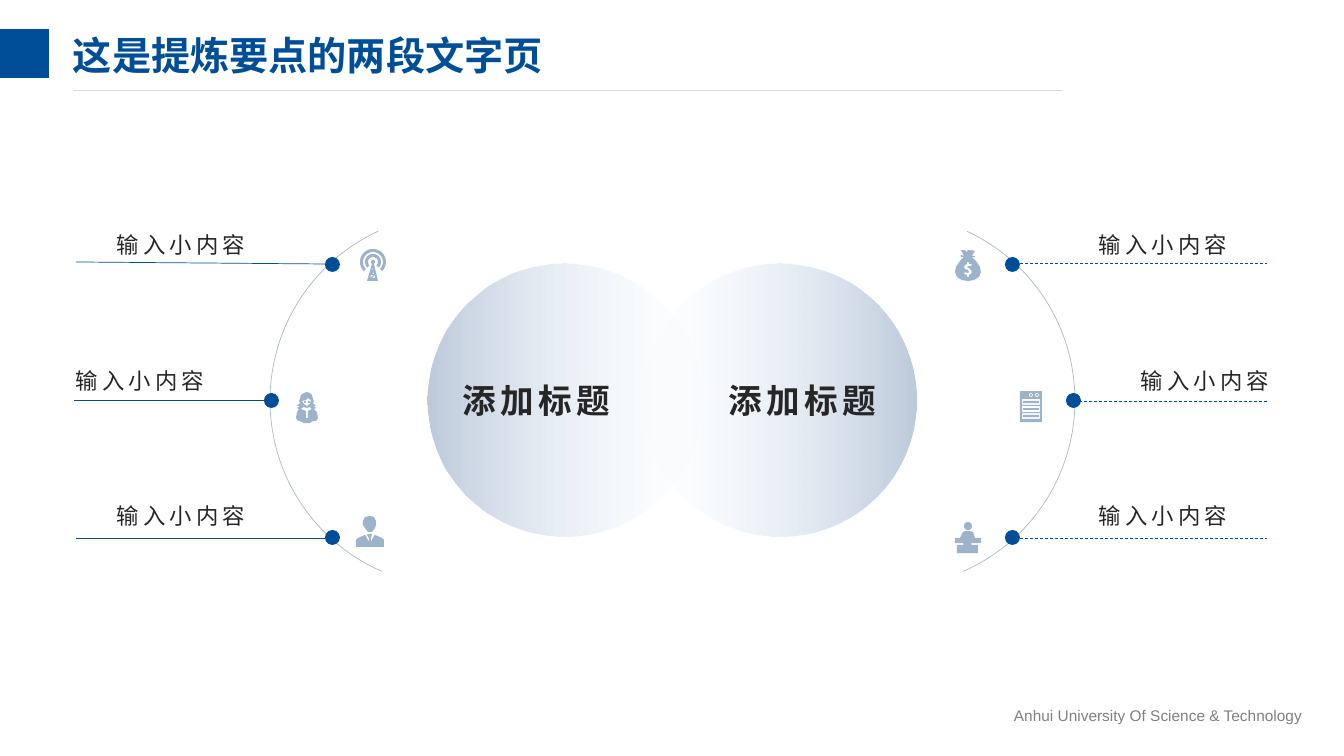
from dataclasses import dataclass
from math import cos, radians, sin

from lxml import etree
from pptx import Presentation
from pptx.dml.color import RGBColor
from pptx.enum.dml import MSO_LINE
from pptx.enum.shapes import MSO_CONNECTOR, MSO_SHAPE
from pptx.enum.text import MSO_ANCHOR, MSO_AUTO_SIZE
from pptx.oxml.ns import qn
from pptx.util import Emu, Pt

STRAIGHT = MSO_CONNECTOR.STRAIGHT
OVAL, ARC, RECTANGLE = MSO_SHAPE.OVAL, MSO_SHAPE.ARC, MSO_SHAPE.RECTANGLE
DASH = MSO_LINE.DASH
MIDDLE, TOP = MSO_ANCHOR.MIDDLE, MSO_ANCHOR.TOP
GROW, FIXED = MSO_AUTO_SIZE.SHAPE_TO_FIT_TEXT, MSO_AUTO_SIZE.NONE
EMU_PER_PX = 12192000 / 1344
INSET = 10
HALF_TURN = 108


@dataclass(frozen=True)
class Theme:
    blue: str = "004E98"
    ink: str = "262626"
    grey: str = "808080"
    rule: str = "D9D9D9"
    arc: str = "ADB9CA"
    icon: str = "9DB2CB"
    glow: str = "EDF6FF"
    mist: str = "BECBDC"
    hairline: float = 0.5
    title_size: int = 28
    heading_size: int = 24
    label_size: int = 16
    footer_size: int = 11
    spacing: int = 300
    title_font: str = "Montserrat"
    body_font: str = "Noto Sans CJK SC"
    footer_font: str = "Arial"


THEME = Theme()


def px(length):
    return Emu(round(length * EMU_PER_PX))


def color(value):
    return RGBColor.from_string(value)


def add_text(shapes, frame, words, size, tone, font, bold=False, spacing=0,
             inset=0, wrap=False, anchor=TOP, leading=None):
    box = shapes.add_textbox(*map(px, frame))
    text = box.text_frame
    text.word_wrap = wrap
    text.auto_size = FIXED if wrap else GROW
    text.vertical_anchor = anchor
    text.margin_left = text.margin_right = px(inset)
    text.margin_top = text.margin_bottom = px(inset // 2)
    para = text.paragraphs[0]
    if leading:
        para.line_spacing = leading
    span = para.add_run()
    span.text = words
    span.font.size = Pt(size)
    span.font.bold = bold
    span.font.color.rgb = color(tone)
    span.font.name = font
    properties = span.font._element
    etree.SubElement(properties, qn("a:ea")).set("typeface", THEME.body_font)
    if spacing:
        properties.set("spc", str(spacing))


def add_solid(shapes, kind, frame, tone):
    shape = shapes.add_shape(kind, *map(px, frame))
    shape.shadow.inherit = False
    shape.fill.solid()
    shape.fill.fore_color.rgb = color(tone)
    shape.line.fill.background()


def add_line(shapes, ends, tone, dash=None):
    line = shapes.add_connector(STRAIGHT, *map(px, ends))
    line.line.color.rgb = color(tone)
    line.line.width = Pt(THEME.hairline)
    if dash:
        line.line.dash_style = dash
    etree.SubElement(line._element.spPr, qn("a:effectLst"))


def add_disc(shapes, left, angle):
    disc = shapes.add_shape(OVAL, *map(px, (left, 264, 273, 273)))
    disc.shadow.inherit = False
    disc.line.fill.background()
    disc.fill.gradient()
    disc.fill.gradient_angle = angle
    for stop, tone in zip(disc.fill.gradient_stops, (THEME.glow, THEME.mist)):
        stop.color.rgb = color(tone)
    glow = next(disc._element.iter(qn("a:srgbClr")))
    etree.SubElement(glow, qn("a:alpha")).set("val", "0")


def add_arc(shapes, left, start, end):
    arc = shapes.add_shape(ARC, *map(px, (left, 214, 373, 373)))
    arc.shadow.inherit = False
    arc.adjustments[0], arc.adjustments[1] = start, end
    arc.fill.background()
    arc.line.color.rgb = color(THEME.arc)
    arc.line.width = Pt(THEME.hairline)


def add_icon(shapes, left, top, outlines):
    contours = [[(px(left + x), px(top + y)) for x, y in outline] for outline in outlines]
    builder = shapes.build_freeform(*contours[0][0], scale=1.0)
    for contour in contours:
        if contour is not contours[0]:
            builder.move_to(*contour[0])
        builder.add_line_segments(contour[1:], close=True)
    icon = builder.convert_to_shape()
    icon.shadow.inherit = False
    icon.fill.solid()
    icon.fill.fore_color.rgb = color(THEME.icon)
    icon.line.fill.background()


def curve(x, y, radius, start=0, end=360, steps=24):
    angles = [radians(start + (end - start) * step / steps) for step in range(steps + 1)]
    return [(x + radius * cos(angle), y + radius * sin(angle)) for angle in angles]


def band(x, y, outer, inner):
    return curve(x, y, outer, 135, 405) + curve(x, y, inner, 405, 135)


def block(left, top, right, bottom):
    return [(left, top), (right, top), (right, bottom), (left, bottom)]


def tower():
    return [band(13, 12, 13, 10), band(13, 12, 8, 5), curve(13, 12, 2),
            [(12, 14), (14, 14), (18, 31), (7, 31)],
            [(14, 24), (12, 24), (14, 22)], [(13, 17), (13, 20), (12, 20)],
            [(10, 28), (11, 25), (14, 25)], [(15, 25), (15, 28), (12, 28)]]


def woman():
    hair = [(18, 17), (20, 16), (18, 14), (20, 14), (17, 11), (18, 9), (17, 7), (16, 3),
            (14, 1), (11, 0), (8, 1), (5, 3), (4, 7), (3, 9), (4, 11), (1, 14), (4, 14),
            (1, 16), (3, 17), (1, 20), (0, 26), (2, 29), (4, 29), (8, 31), (14, 31),
            (17, 29), (20, 29), (22, 26), (21, 20)]
    face = [(6, 9), (10, 8), (12, 6), (15, 8), (14, 12), (11, 14), (8, 12)]
    blouse = [(12, 26), (10, 26), (10, 19), (5, 17), (6, 16), (8, 15), (11, 16),
              (14, 15), (15, 16), (16, 17), (12, 19)]
    return [hair, face, curve(9, 10, 1), curve(13, 10, 1), blouse]


def man():
    suit = [(12, 18), (16, 18), (15, 22), (15, 26), (18, 20), (19, 19), (26, 22), (28, 24),
            (28, 31), (0, 31), (0, 24), (2, 22), (9, 19), (10, 20), (13, 26), (13, 22), (11, 19)]
    head = [(14, 0), (18, 1), (20, 5), (20, 9), (19, 12), (16, 16), (12, 16), (9, 12),
            (7, 9), (7, 5), (9, 1)]
    return [suit, head]


def money_bag():
    bag = [(17, 7), (20, 7), (20, 6), (17, 6), (20, 1), (17, 0), (15, 2), (16, 0), (13, 0),
           (12, 2), (10, 0), (6, 0), (9, 6), (6, 5), (6, 7), (9, 7), (5, 11), (1, 17), (0, 22),
           (2, 27), (7, 30), (13, 31), (19, 30), (24, 27), (26, 22), (25, 17), (21, 11)]
    dollar = [(14, 25), (14, 27), (12, 27), (12, 25), (9, 24), (10, 22), (13, 23), (14, 22),
              (13, 20), (10, 19), (9, 17), (10, 15), (12, 14), (12, 12), (14, 12), (14, 14),
              (17, 14), (16, 16), (14, 16), (12, 17), (14, 18), (16, 20), (17, 22), (16, 24)]
    return [bag, dollar]


def server():
    outlines = [block(0, 0, 22, 31)]
    for x in (11, 17):
        outlines += [curve(x, 4, 2), curve(x, 4, 1)]
    for top in (8, 15, 22):
        outlines += [block(2, top, 20, top + 6), block(3, top + 2, 19, top + 4)]
    return outlines


def speaker():
    desk = [(0, 16), (5, 16), (8, 10), (11, 9), (15, 9), (18, 10), (20, 16), (26, 16),
            (26, 21), (17, 21), (16, 22), (17, 23), (23, 23), (23, 31), (2, 31), (2, 23),
            (8, 23), (9, 22), (8, 21), (0, 21)]
    return [desk, curve(13, 4, 4)]


def add_side(page, arc, rows, dash=None):
    shapes = page.shapes.add_group_shape().shapes
    add_arc(shapes, *arc)
    for (label_left, dot_left, ends), label_top, dot_top in zip(rows, (231, 367, 502), (257, 393, 530)):
        add_text(shapes, (label_left, label_top, 134, 27), "输入小内容", THEME.label_size,
                 THEME.ink, THEME.body_font, spacing=THEME.spacing)
        add_solid(shapes, OVAL, (dot_left, dot_top, 15, 15), THEME.blue)
        add_line(shapes, ends, THEME.blue, dash)


def main():
    deck = Presentation()
    deck.slide_width, deck.slide_height = px(1344), px(756)
    page = deck.slides.add_slide(deck.slide_layouts[6])
    shapes = page.shapes
    add_text(shapes, (1004, 701, 317, 29), "Anhui University Of Science & Technology",
             THEME.footer_size, THEME.grey, THEME.footer_font, inset=INSET)
    add_solid(shapes, RECTANGLE, (-2, 29, 51, 49), THEME.blue)
    add_line(shapes, (73, 90, 1062, 90), THEME.rule)
    add_text(shapes, (73, 21, 959, 74), "这是提炼要点的两段文字页", THEME.title_size, THEME.blue,
             THEME.title_font, bold=True, wrap=True, anchor=MIDDLE, leading=0.9)
    for left, angle in ((643, 0), (428, 180)):
        add_disc(shapes, left, angle)
    for left in (729, 463):
        add_text(shapes, (left, 380, 152, 40), "添加标题", THEME.heading_size, THEME.ink,
                 THEME.body_font, bold=True, spacing=THEME.spacing)
    start, end = 68.19, 147.08
    add_side(page, (702, 3 * HALF_TURN - end, HALF_TURN - start),
             ((1099, 1005, (1020, 263, 1267, 263)), (1141, 1066, (1074, 401, 1267, 401)),
              (1099, 1005, (1015, 538, 1267, 538))), DASH)
    add_side(page, (270, start, end),
             ((117, 325, (325, 264, 76, 262)), (76, 264, (264, 400, 74, 400)),
              (117, 325, (325, 538, 76, 538))))
    for left, top, outlines in ((356, 516, man()), (360, 250, tower()), (955, 522, speaker()),
                                (1020, 391, server()), (955, 250, money_bag()), (296, 392, woman())):
        add_icon(shapes, left, top, outlines)
    deck.save("out.pptx")


if __name__ == "__main__":
    main()
